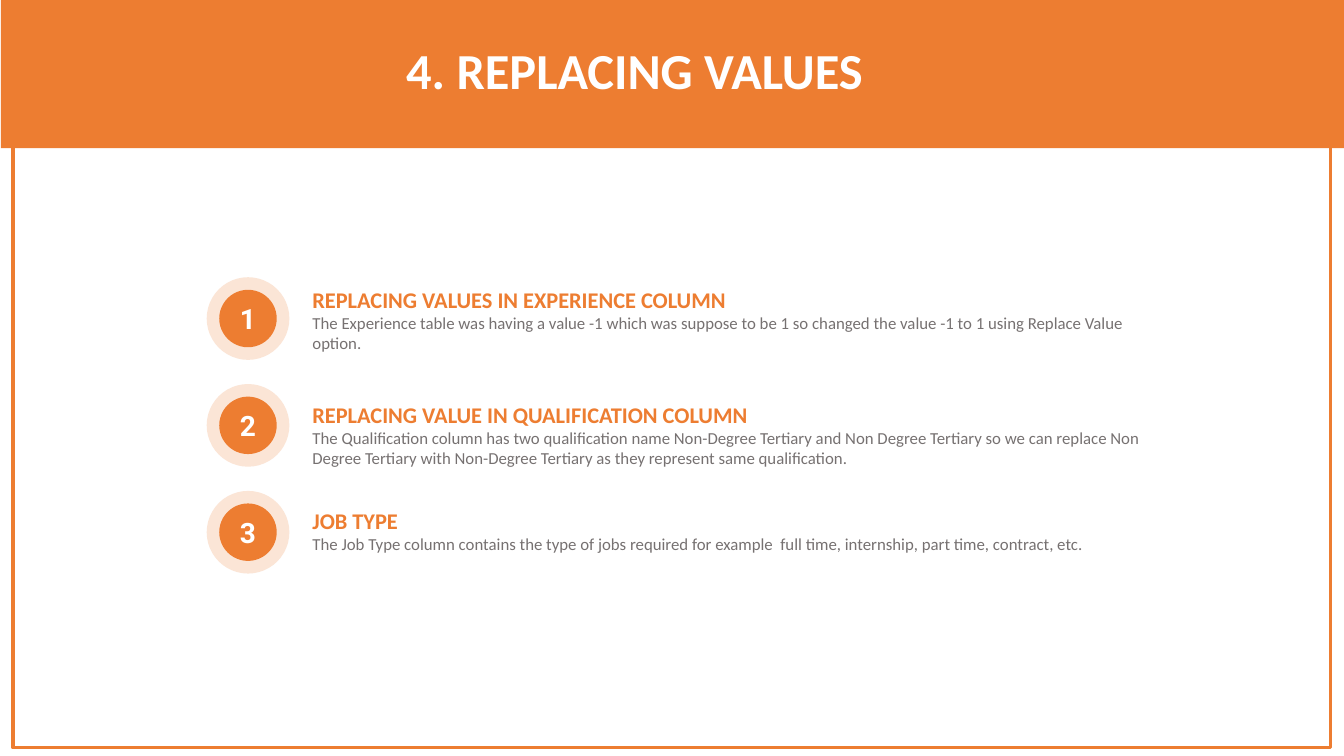
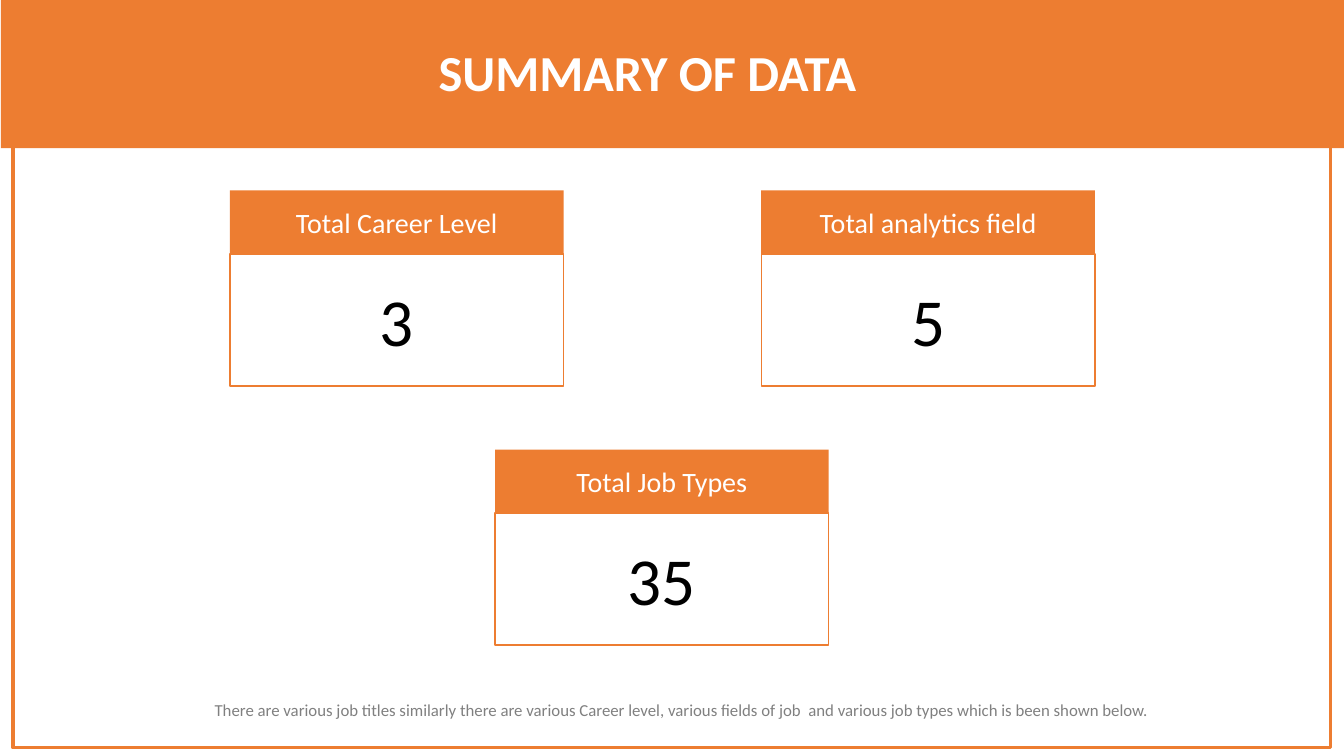
from pptx import Presentation
from pptx.dml.color import RGBColor
from pptx.enum import shapes, text
from pptx.util import Inches, Pt

# Shared style
ORANGE, PEACH, WHITE, BLACK = "ED7D31", "FBE5D6", "FFFFFF", "000000"
BODY_GRAY, NOTE_GRAY = "767171", "808080"
FONT, NUMBER_FONT = "Calibri", "Roboto"
LEFT, CENTER = text.PP_ALIGN.LEFT, text.PP_ALIGN.CENTER
RECTANGLE, OVAL = shapes.MSO_SHAPE.RECTANGLE, shapes.MSO_SHAPE.OVAL

# Slide content: text top, heading, body
STEPS = [
    (2.79, "REPLACING VALUES IN EXPERIENCE COLUMN",
     "The Experience table was having a value -1 which was suppose to be 1 "
     "so changed the value -1 to 1 using Replace Value option."),
    (3.93, "REPLACING VALUE IN QUALIFICATION COLUMN",
     "The Qualification column has two qualification name Non-Degree Tertiary "
     "and Non Degree Tertiary so we can replace Non Degree Tertiary with "
     "Non-Degree Tertiary as they represent same qualification."),
    (4.98, "JOB TYPE",
     "The Job Type column contains the type of jobs required for example  "
     "full time, internship, part time, contract, etc."),
]
# Card left, top, label, value
CARDS = [
    (2.28, 1.89, "Total Career Level", "3"),
    (7.55, 1.89, "Total analytics field", "5"),
    (4.91, 4.46, "Total Job Types", "35"),
]
NOTE = ("There are various job titles similarly there are various Career level, "
        "various fields of job  and various job types which is been shown below.")


def color(hex_value):
    return RGBColor.from_string(hex_value)


def write(paragraph, content, size, hex_value, bold=False, font=FONT, align=LEFT):
    paragraph.text = content
    paragraph.alignment = align
    paragraph.font.name = font
    paragraph.font.size = Pt(size)
    paragraph.font.bold = bold
    paragraph.font.color.rgb = color(hex_value)


def add_block(slide, kind, left, top, width, height, fill, line_width=0):
    shape = slide.shapes.add_shape(
        kind, Inches(left), Inches(top), Inches(width), Inches(height))
    shape.shadow.inherit = False
    shape.fill.solid()
    shape.fill.fore_color.rgb = color(fill)
    if line_width:
        shape.line.color.rgb = color(ORANGE)
        shape.line.width = Pt(line_width)
    else:
        shape.line.fill.background()
    return shape


def label(shape, content, size, hex_value, **style):
    frame = shape.text_frame
    frame.margin_left = frame.margin_right = 0
    frame.margin_top = frame.margin_bottom = 0
    frame.vertical_anchor = text.MSO_ANCHOR.MIDDLE
    write(frame.paragraphs[0], content, size, hex_value, align=CENTER, **style)


def add_text(slide, left, top, width, height):
    box = slide.shapes.add_textbox(
        Inches(left), Inches(top), Inches(width), Inches(height))
    box.text_frame.word_wrap = True
    return box.text_frame


def add_titled_slide(presentation, content, left, top, width, align):
    """Slide with the outline frame, the top band and a title on the band."""
    slide = presentation.slides.add_slide(presentation.slide_layouts[5])
    add_block(slide, RECTANGLE, 0.13, 0.09, 13.07, 7.33, WHITE, 2.25)
    add_block(slide, RECTANGLE, 0.01, 0, 13.32, 1.47, ORANGE)

    title = slide.shapes.title
    slide.shapes.element.append(title.element)  # bring in front of the band
    title.left, title.top = Inches(left), Inches(top)
    title.width, title.height = Inches(width), Inches(0.71)
    frame = title.text_frame
    frame.auto_size = text.MSO_AUTO_SIZE.NONE
    frame.vertical_anchor = text.MSO_ANCHOR.TOP
    write(frame.paragraphs[0], content, 36, WHITE, bold=True, align=align)
    return slide


def add_badge(slide, center_x, center_y, number):
    def disc(diameter, fill):
        return add_block(slide, OVAL, center_x - diameter / 2,
                         center_y - diameter / 2, diameter, diameter, fill)

    disc(0.82, PEACH)
    label(disc(0.57, ORANGE), str(number), 20, WHITE, bold=True, font=NUMBER_FONT)


def add_step(slide, top, heading, body):
    frame = add_text(slide, 3, top, 8.69, 0.77)
    write(frame.paragraphs[0], heading, 16, ORANGE, bold=True)
    write(frame.add_paragraph(), body, 12, BODY_GRAY)


def add_card(slide, left, top, name, value):
    width, header_height, value_height = 3.31, 0.63, 1.31
    body = add_block(slide, RECTANGLE, left, top + header_height, width,
                     value_height, WHITE, 1)
    label(body, value, 48, BLACK)
    header = add_block(slide, RECTANGLE, left, top, width, header_height, ORANGE)
    label(header, name, 20, WHITE)


def main():
    presentation = Presentation()
    presentation.slide_width = Inches(13.33)
    presentation.slide_height = Inches(7.5)

    # Replacing values: numbered steps
    slide = add_titled_slide(
        presentation, "4. REPLACING VALUES", 2.83, 0.34, 6.93, CENTER)
    for index, (top, heading, body) in enumerate(STEPS):
        add_badge(slide, 2.46, 3.16 + 1.06 * index, index + 1)
        add_step(slide, top, heading, body)

    # Summary: one card per total, and a note
    slide = add_titled_slide(
        presentation, "SUMMARY OF DATA", 4.25, 0.36, 5.14, LEFT)
    for card in CARDS:
        add_card(slide, *card)
    note = add_text(slide, 2.03, 6.89, 10.2, 0.3)
    write(note.paragraphs[0], NOTE, 12, NOTE_GRAY)

    presentation.save("out.pptx")


if __name__ == "__main__":
    main()
